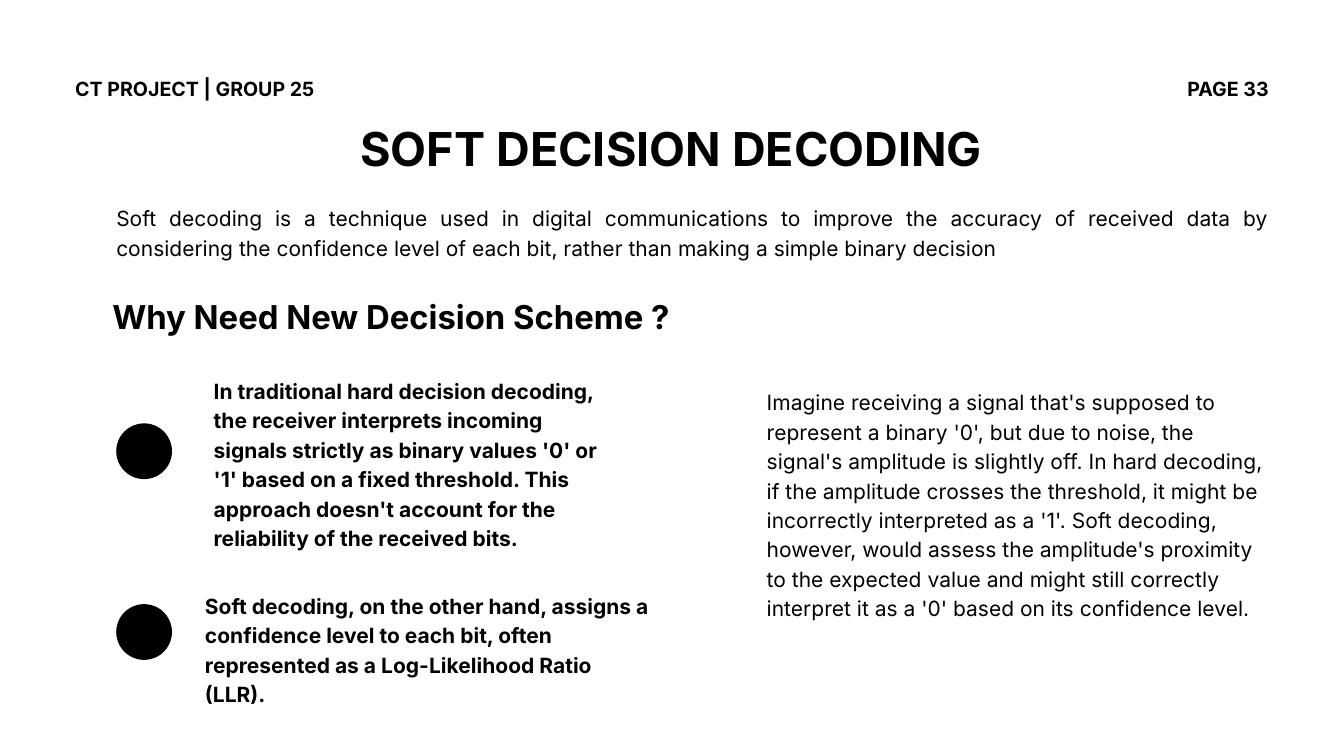
from lxml import etree
from pptx import Presentation
from pptx.dml.color import RGBColor
from pptx.enum.shapes import MSO_SHAPE
from pptx.enum.text import MSO_ANCHOR, MSO_AUTO_SIZE, PP_ALIGN
from pptx.oxml.ns import qn
from pptx.util import Inches, Pt

LEFT, CENTER, RIGHT, JUSTIFY = PP_ALIGN.LEFT, PP_ALIGN.CENTER, PP_ALIGN.RIGHT, PP_ALIGN.JUSTIFY
OVAL = MSO_SHAPE.OVAL
TOP = MSO_ANCHOR.TOP
NO_AUTOFIT = MSO_AUTO_SIZE.NONE

COLORS = {"ink": "000000", "paper": "FFFFFF"}
FONT = "Inter"
DOT_SIZE = 0.83
MARGIN_LEFT, MARGIN_RIGHT = 1.73, 18.88

FORMATS = {
    "header": {"size": 21, "bold": True, "leading": 29.4},
    "title": {"size": 50, "bold": True, "leading": 70},
    "heading": {"size": 35.2, "bold": True, "leading": 49.2},
    "reason": {"size": 22.5, "bold": True, "leading": 31.5},
    "body": {"size": 22.5, "bold": False, "leading": 31.5},
}


def set_attributes(target, values):
    for name, value in values.items():
        setattr(target, name, value)


def write(holder, box, text, style, align=LEFT):
    left, top, width, height = box
    set_attributes(holder, {
        "left": Inches(left), "top": Inches(top),
        "width": Inches(width), "height": Inches(height),
    })
    frame = holder.text_frame
    set_attributes(frame, {
        "margin_left": 0, "margin_top": 0, "margin_right": 0, "margin_bottom": 0,
        "word_wrap": True, "auto_size": NO_AUTOFIT, "vertical_anchor": TOP,
    })
    frame.text = text
    paragraph = frame.paragraphs[0]
    if holder.is_placeholder:
        properties = paragraph._p.get_or_add_pPr()
        properties.set("marL", "0")
        properties.set("indent", "0")
        etree.SubElement(properties, qn("a:buNone"))
    look = FORMATS[style]
    set_attributes(paragraph, {
        "alignment": align, "line_spacing": Pt(look["leading"]), "space_before": Pt(0),
    })
    font = paragraph.runs[0].font
    set_attributes(font, {"name": FONT, "size": Pt(look["size"]), "bold": look["bold"]})
    font.color.rgb = RGBColor.from_string(COLORS["ink"])


def add_text(slide, box, text, style, align=LEFT):
    write(slide.shapes.add_textbox(0, 0, 0, 0), box, text, style, align)


def add_header(slide, box):
    left, top, width, height = box
    page_width = 1.52
    add_text(slide, (left, top, 3.84, height), "CT PROJECT | GROUP 25", "header")
    add_text(slide, (left + width - page_width, top, page_width, height),
             "PAGE 33", "header", RIGHT)


def add_reason(slide, holder, box, text_left, text):
    left, top, width, height = box
    write(holder, (text_left, top, left + width - text_left, height), text, "reason")
    dot_top = top + (height - DOT_SIZE) / 2 - 0.16 if height > 2 else top + 0.22
    dot = slide.shapes.add_shape(OVAL, Inches(left), Inches(dot_top),
                                 Inches(DOT_SIZE), Inches(DOT_SIZE))
    dot.shadow.inherit = False
    dot.fill.solid()
    dot.fill.fore_color.rgb = RGBColor.from_string(COLORS["ink"])
    dot.line.fill.background()


def main():
    deck = Presentation()
    deck.slide_width, deck.slide_height = Inches(20), Inches(11.25)
    slide = deck.slides.add_slide(deck.slide_layouts[3])
    slide.background.fill.solid()
    slide.background.fill.fore_color.rgb = RGBColor.from_string(COLORS["paper"])
    for footer in list(slide.placeholders)[3:]:
        footer.element.getparent().remove(footer.element)

    content_width = MARGIN_RIGHT - MARGIN_LEFT
    add_header(slide, (1.12, 1.08, MARGIN_RIGHT - 1.12, 0.39))
    write(slide.shapes.title, (5.36, 1.64, 9.27, 0.92),
          "SOFT DECISION DECODING", "title", CENTER)
    add_text(slide, (MARGIN_LEFT, 3, content_width, 0.86),
             "Soft decoding is a technique used in digital communications to improve the "
             "accuracy of received data by considering the confidence level of each bit, "
             "rather than making a simple binary decision", "body", JUSTIFY)
    add_text(slide, (0, 4.32, 11.75, 0.66), "Why Need New Decision Scheme ? ", "heading", CENTER)

    add_reason(slide, slide.placeholders[1], (MARGIN_LEFT, 5.57, 7.23, 2.61), 3.18,
               "In traditional hard decision decoding, the receiver interprets incoming "
               "signals strictly as binary values '0' or '1' based on a fixed threshold. "
               "This approach doesn't account for the reliability of the received bits.")
    add_reason(slide, slide.placeholders[2], (MARGIN_LEFT, 8.77, 8, 1.3), 3.05,
               "Soft decoding, on the other hand, assigns a confidence level to each bit, "
               "often represented as a Log-Likelihood Ratio (LLR).")

    add_text(slide, (11.41, 5.74, MARGIN_RIGHT - 11.41, 3.49),
             "Imagine receiving a signal that's supposed to represent a binary '0', but due "
             "to noise, the signal's amplitude is slightly off. In hard decoding, if the "
             "amplitude crosses the threshold, it might be incorrectly interpreted as a '1'. "
             "Soft decoding, however, would assess the amplitude's proximity to the expected "
             "value and might still correctly interpret it as a '0' based on its confidence "
             "level.", "body")
    deck.save("out.pptx")


if __name__ == "__main__":
    main()
